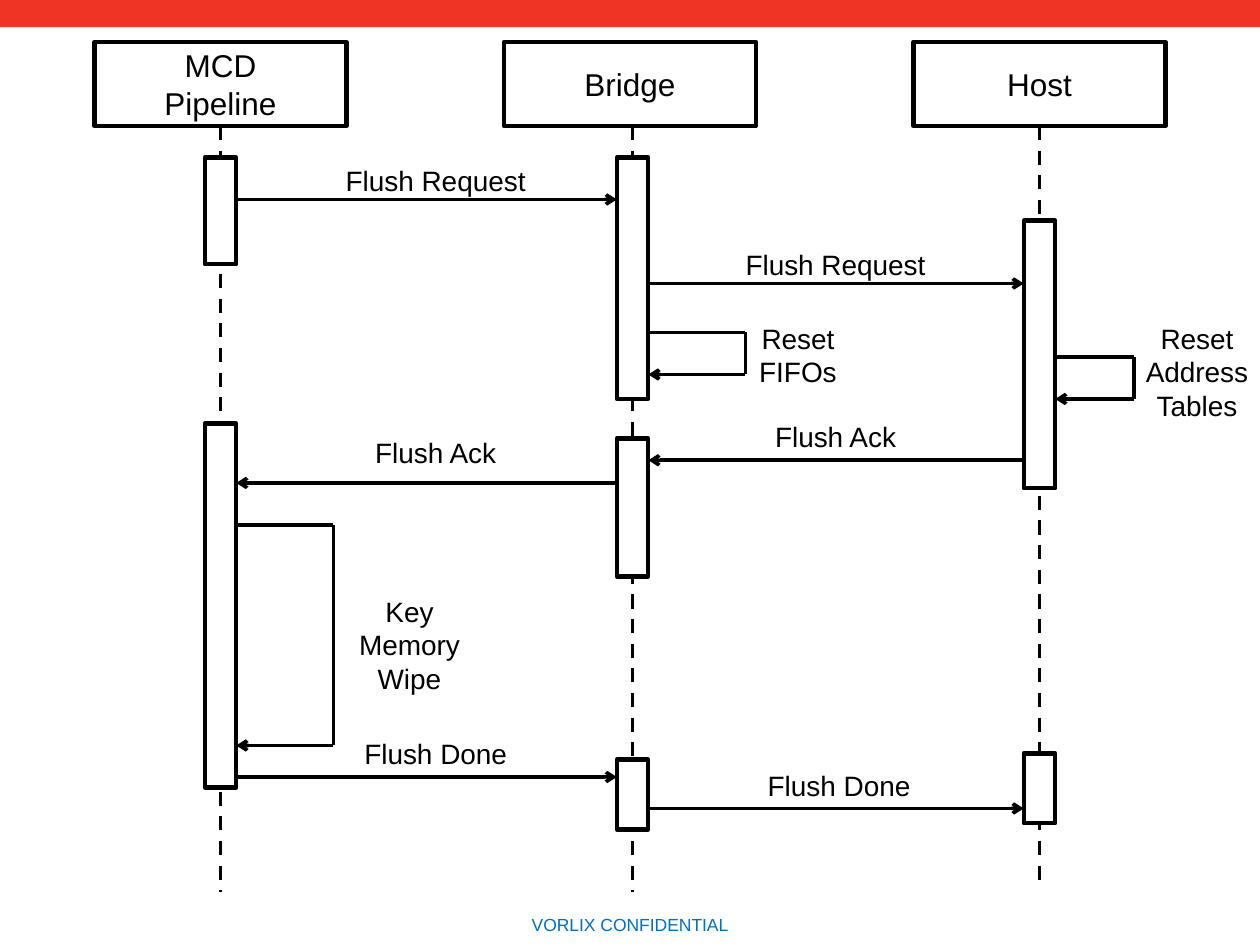
from dataclasses import dataclass
from typing import Any

import lxml.etree
import pptx
import pptx.dml.color
import pptx.enum.dml
import pptx.enum.shapes
import pptx.enum.text
import pptx.oxml.ns
import pptx.util

Pt = pptx.util.Pt
RGBColor = pptx.dml.color.RGBColor
Anchor = pptx.enum.text.MSO_ANCHOR

BLACK = RGBColor(0x00, 0x00, 0x00)
WHITE = RGBColor(0xFF, 0xFF, 0xFF)
RED = RGBColor(0xEE, 0x34, 0x24)
BLUE = RGBColor(0x00, 0x70, 0xC0)

FONT = "Arial"
HEADER_TOP, HEADER_WIDTH, HEADER_HEIGHT = 24, 144, 48
HEADER_LEFT, HEADER_STEP = 54, 234
HALF_BAR = 9
LABEL_WIDTH, LABEL_HEIGHT = 150, 26.6
NOTE_WIDTH = 84
MCD, BRIDGE, HOST = 126, 361.5, 594


@dataclass(frozen=True)
class Participant:
    name: str
    center: float
    lifeline_end: float
    bars: tuple[tuple[float, float], ...]


@dataclass(frozen=True)
class Message:
    text: str
    source: float
    target: float
    y: float
    label_left: float
    label_top: float


@dataclass(frozen=True)
class SelfCall:
    text: str
    center: float
    right: float
    top: float
    bottom: float
    note_left: float
    note_top: float
    note_height: float


PARTICIPANTS = (
    Participant("MCD\vPipeline", MCD, 510, ((90, 61), (242, 208))),
    Participant("Bridge", BRIDGE, 510, ((90, 138), (250.5, 79), (434, 40))),
    Participant("Host", HOST, 504, ((126, 153), (430.5, 40))),
)
MESSAGES = (
    Message("Flush Request", MCD, BRIDGE, 114, 174, 90),
    Message("Flush Request", BRIDGE, HOST, 162, 402.5, 138),
    Message("Flush Ack", HOST, BRIDGE, 263, 402.5, 236),
    Message("Flush Ack", BRIDGE, MCD, 276, 174, 245.5),
    Message("Flush Done", MCD, BRIDGE, 444, 174, 417.5),
    Message("Flush Done", BRIDGE, HOST, 462, 404.5, 435.5),
)
SELF_CALLS = (
    SelfCall("Reset\nFIFOs", BRIDGE, 426, 190, 214, 414, 180, 46),
    SelfCall("Reset Address Tables", HOST, 648, 204, 228, 642, 180, 65.5),
    SelfCall("Key Memory Wipe", MCD, 190.5, 300, 426, 192, 336, 65.5),
)


def write_text(shape: Any, text: str, *, size: float = 16,
               color: RGBColor = BLACK, anchor: Any = Anchor.TOP) -> None:
    frame = shape.text_frame
    frame.text = text
    frame.word_wrap = True
    frame.vertical_anchor = anchor
    for paragraph in frame.paragraphs:
        paragraph.alignment = pptx.enum.text.PP_ALIGN.CENTER
        for run in paragraph.runs:
            run.font.name = FONT
            run.font.size = Pt(size)
            run.font.color.rgb = color


def add_label(slide: Any, text: str, left: float, top: float, width: float,
              height: float, **text_format: Any) -> None:
    box = slide.shapes.add_textbox(Pt(left), Pt(top), Pt(width), Pt(height))
    write_text(box, text, **text_format)


def add_rectangle(slide: Any, left: float, top: float, width: float, height: float,
                  *, fill: RGBColor | None = None, outlined: bool = True) -> Any:
    shape = slide.shapes.add_shape(pptx.enum.shapes.MSO_SHAPE.RECTANGLE,
                                   Pt(left), Pt(top), Pt(width), Pt(height))
    shape.shadow.inherit = False
    if fill is None:
        shape.fill.background()
    else:
        shape.fill.solid()
        shape.fill.fore_color.rgb = fill
    if outlined:
        shape.line.color.rgb = BLACK
        shape.line.width = Pt(2.5)
    else:
        shape.line.fill.background()
    return shape


def add_line(shapes: Any, start: tuple[float, float], end: tuple[float, float],
             *, dashed: bool = False, arrow: bool = False) -> Any:
    connector = shapes.add_connector(pptx.enum.shapes.MSO_CONNECTOR.STRAIGHT,
                                     *map(Pt, start + end))
    connector.line.color.rgb = BLACK
    connector.line.width = Pt(2)
    if dashed:
        connector.line.dash_style = pptx.enum.dml.MSO_LINE.DASH
    qualified = pptx.oxml.ns.qn
    if arrow:
        lxml.etree.SubElement(connector.line._get_or_add_ln(),
                              qualified("a:tailEnd"), type="arrow")
    lxml.etree.SubElement(connector._element.spPr, qualified("a:effectLst"))
    return connector


def add_participant(slide: Any, participant: Participant, index: int) -> None:
    header_left = HEADER_LEFT + index * HEADER_STEP
    header = add_rectangle(slide, header_left, HEADER_TOP, HEADER_WIDTH, HEADER_HEIGHT)
    write_text(header, participant.name, size=18, anchor=Anchor.MIDDLE)
    lifeline = add_line(slide.shapes,
                        (participant.center, HEADER_TOP + HEADER_HEIGHT),
                        (participant.center, participant.lifeline_end), dashed=True)
    if participant.center == header_left + HEADER_WIDTH / 2:
        lifeline.begin_connect(header, 2)
    for top, height in participant.bars:
        add_rectangle(slide, participant.center - HALF_BAR, top, 2 * HALF_BAR, height,
                      fill=WHITE)


def add_message(slide: Any, message: Message) -> None:
    offset = HALF_BAR if message.source < message.target else -HALF_BAR
    add_line(slide.shapes, (message.source + offset, message.y),
             (message.target - offset, message.y), arrow=True)
    add_label(slide, message.text, message.label_left, message.label_top,
              LABEL_WIDTH, LABEL_HEIGHT)


def add_self_call(slide: Any, call: SelfCall) -> None:
    shapes = slide.shapes.add_group_shape().shapes
    left = call.center + HALF_BAR
    add_line(shapes, (call.right, call.bottom), (left, call.bottom), arrow=True)
    add_line(shapes, (call.right, call.top), (left, call.top))
    add_line(shapes, (call.right, call.bottom), (call.right, call.top))
    add_label(slide, call.text, call.note_left, call.note_top,
              NOTE_WIDTH, call.note_height)


def main() -> None:
    presentation = pptx.Presentation()
    presentation.slide_width = Pt(720)
    presentation.slide_height = Pt(540)
    slide = presentation.slides.add_slide(presentation.slide_layouts[6])
    add_rectangle(slide, 0, 0, 720, 15.5, fill=RED, outlined=False)
    add_label(slide, "VORLIX CONFIDENTIAL", 0, 519, 720, 20, size=10, color=BLUE)
    for index, participant in enumerate(PARTICIPANTS):
        add_participant(slide, participant, index)
    for message in MESSAGES:
        add_message(slide, message)
    for call in SELF_CALLS:
        add_self_call(slide, call)
    presentation.save("out.pptx")


if __name__ == "__main__":
    main()
